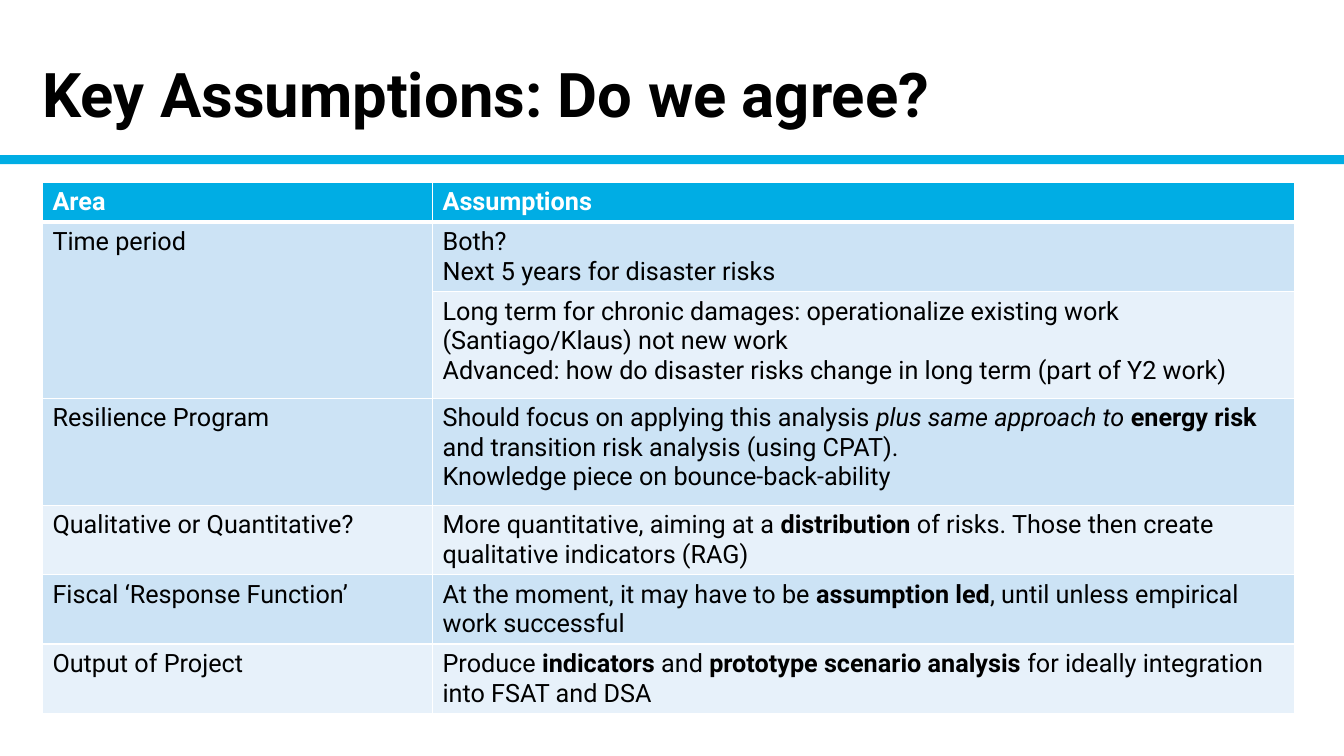
from dataclasses import dataclass

import pptx
import pptx.dml.color
import pptx.enum.shapes
import pptx.enum.text
import pptx.oxml
import pptx.oxml.ns
import pptx.table
import pptx.text.text
import pptx.util
from pptx.util import Cm, Pt

FONT = "Roboto"
COLORS = {
    "accent": "00ADE4",
    "dark band": "CCE3F5",
    "light band": "E7F1FA",
    "text": "000000",
    "white": "FFFFFF",
}


@dataclass(frozen=True)
class Span:
    text: str
    bold: bool = False
    italic: bool = False


@dataclass(frozen=True)
class Assumption:
    area: str
    paragraphs: list[list[Span]]
    height: float
    band: str


ASSUMPTIONS = [
    Assumption("Time period", [
        [Span("Both?")],
        [Span("Next 5 years for disaster risks")],
    ], 1.75, "dark band"),
    Assumption("", [
        [Span("Long term for chronic damages: operationalize existing work "
              "(Santiago/Klaus) not new work")],
        [Span("Advanced: how do disaster risks change in long term (part of Y2 work)")],
    ], 2.69, "light band"),
    Assumption("Resilience Program", [
        [Span("Should focus on applying this analysis "),
         Span("plus same approach to ", italic=True),
         Span("energy risk ", bold=True),
         Span("and transition risk analysis (using CPAT).")],
        [Span("Knowledge piece on bounce-back-ability")],
    ], 2.69, "dark band"),
    Assumption("Qualitative or Quantitative?", [
        [Span("More quantitative, aiming at a "),
         Span("distribution", bold=True),
         Span(" of risks. Those then create qualitative indicators (RAG)")],
    ], 1.75, "light band"),
    Assumption("Fiscal ‘Response Function’", [
        [Span("At the moment, it may have to be "),
         Span("assumption led", bold=True),
         Span(", until unless empirical work successful")],
    ], 1.75, "dark band"),
    Assumption("Output of Project", [
        [Span("Produce "),
         Span("indicators", bold=True),
         Span(" and "),
         Span("prototype scenario analysis ", bold=True),
         Span("for ideally integration into FSAT and DSA")],
    ], 1.75, "light band"),
]
HEADER_HEIGHT = 0.98
COLUMN_WIDTHS = (9.83, 21.72)
LEFT = Cm(1.07)


def rgb(name: str) -> pptx.dml.color.RGBColor:
    return pptx.dml.color.RGBColor.from_string(COLORS[name])


def style_font(font: pptx.text.text.Font, size: float, color: str) -> None:
    font.name = FONT
    font.size = Pt(size)
    font.color.rgb = rgb(color)


def add_borders(cell: pptx.table._Cell, top: float, bottom: float) -> None:
    """Draw white borders; must run before the cell gets its fill."""
    properties = cell._tc.get_or_add_tcPr()
    for side, width in (("L", 1), ("R", 1), ("T", top), ("B", bottom)):
        properties.append(pptx.oxml.parse_xml(
            f'<a:ln{side} {pptx.oxml.ns.nsdecls("a")} w="{Pt(width)}">'
            f'<a:solidFill><a:srgbClr val="{COLORS["white"]}"/></a:solidFill>'
            f'</a:ln{side}>'))


def fill_cell(cell: pptx.table._Cell, paragraphs: list[list[Span]], fill: str,
              color: str = "text", top: float = 1, bottom: float = 1) -> None:
    add_borders(cell, top, bottom)
    cell.fill.solid()
    cell.fill.fore_color.rgb = rgb(fill)
    for index, spans in enumerate(paragraphs):
        frame = cell.text_frame
        paragraph = frame.add_paragraph() if index else frame.paragraphs[0]
        style_font(paragraph.font, 18, color)
        for span in spans:
            run = paragraph.add_run()
            run.text = span.text
            run.font.bold = span.bold
            run.font.italic = span.italic


def add_title(slide: pptx.slide.Slide) -> None:
    title = slide.shapes.title
    title.left, title.top, title.width, title.height = LEFT, Cm(1.24), Cm(31.75), Cm(2.18)
    frame = title.text_frame
    frame.text = "Key Assumptions: Do we agree?"
    frame.word_wrap = True
    frame.vertical_anchor = pptx.enum.text.MSO_ANCHOR.MIDDLE
    frame.margin_left = frame.margin_top = frame.margin_right = frame.margin_bottom = 0
    heading = frame.paragraphs[0]
    heading.alignment = pptx.enum.text.PP_ALIGN.LEFT
    style_font(heading.font, 44, "text")
    heading.font.bold = True


def add_divider(slide: pptx.slide.Slide, width: int) -> None:
    divider = slide.shapes.add_shape(
        pptx.enum.shapes.MSO_SHAPE.RECTANGLE, 0, Cm(3.91), width, Cm(0.23))
    divider.shadow.inherit = False
    divider.fill.solid()
    divider.fill.fore_color.rgb = rgb("accent")
    divider.line.fill.background()


def add_assumptions(slide: pptx.slide.Slide) -> None:
    heights = [HEADER_HEIGHT] + [assumption.height for assumption in ASSUMPTIONS]
    table = slide.shapes.add_table(
        len(heights), len(COLUMN_WIDTHS), LEFT, Cm(4.6),
        Cm(sum(COLUMN_WIDTHS)), Cm(sum(heights))).table
    for column, width in zip(table.columns, COLUMN_WIDTHS):
        column.width = Cm(width)
    for row, height in zip(table.rows, heights):
        row.height = Cm(height)

    for column, label in enumerate(("Area", "Assumptions")):
        fill_cell(table.cell(0, column), [[Span(label, bold=True)]],
                  "accent", "white", bottom=3)
    for row, assumption in enumerate(ASSUMPTIONS, start=1):
        top = 3 if row == 1 else 1
        area = [[Span(assumption.area)]] if assumption.area else []
        fill_cell(table.cell(row, 0), area, assumption.band, top=top)
        fill_cell(table.cell(row, 1), assumption.paragraphs, assumption.band, top=top)
        if not assumption.area:
            table.cell(row - 1, 0).merge(table.cell(row, 0))


def main() -> None:
    presentation = pptx.Presentation()
    presentation.slide_width = Cm(33.87)
    presentation.slide_height = Cm(19.05)
    slide = presentation.slides.add_slide(presentation.slide_layouts.get_by_name("Title Only"))
    add_divider(slide, presentation.slide_width)
    add_title(slide)
    add_assumptions(slide)
    presentation.save("out.pptx")


if __name__ == "__main__":
    main()
